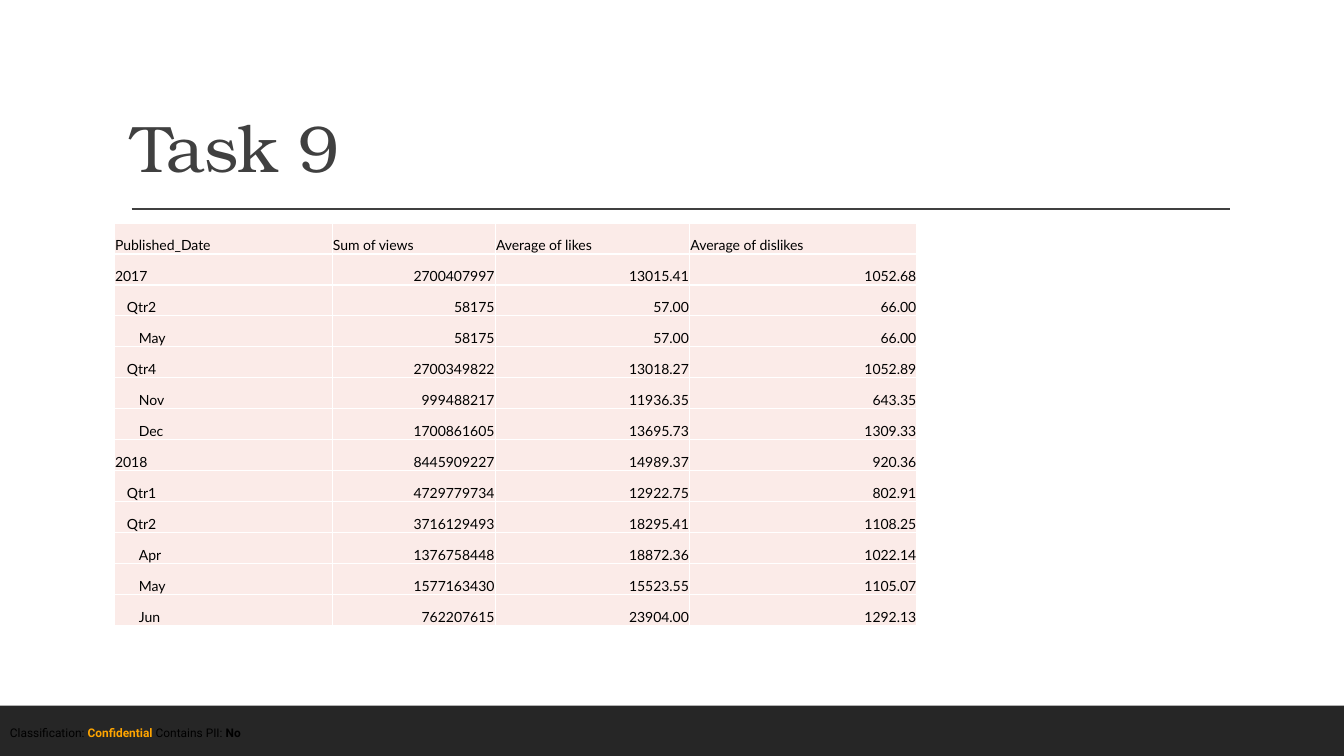
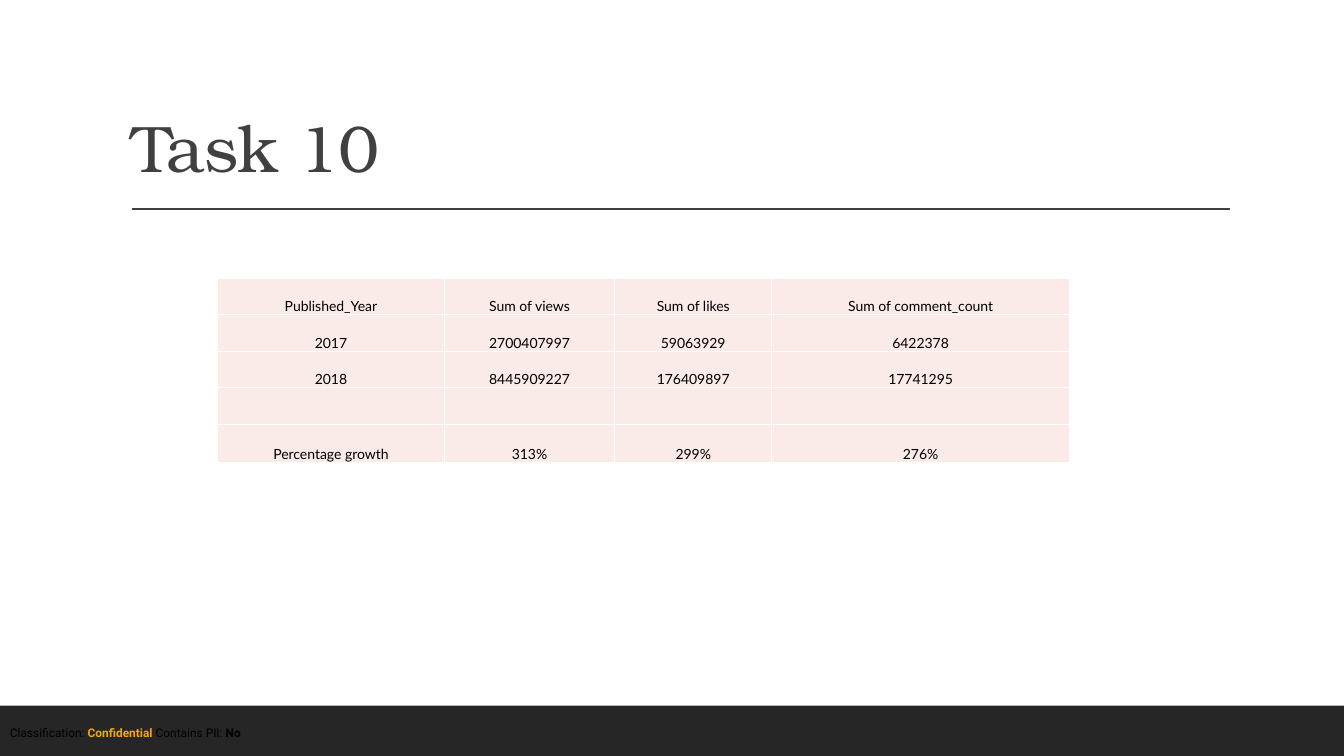
from lxml import etree
from pptx import Presentation
from pptx.dml.color import RGBColor
from pptx.enum.shapes import MSO_CONNECTOR, MSO_SHAPE
from pptx.enum.text import MSO_ANCHOR, MSO_AUTO_SIZE, PP_ALIGN
from pptx.oxml.ns import qn
from pptx.util import Cm, Pt

LEFT, CENTER, RIGHT = PP_ALIGN.LEFT, PP_ALIGN.CENTER, PP_ALIGN.RIGHT
BOTTOM = MSO_ANCHOR.BOTTOM
RECTANGLE, STRAIGHT = MSO_SHAPE.RECTANGLE, MSO_CONNECTOR.STRAIGHT
FIXED_SIZE, GROW_TO_FIT = MSO_AUTO_SIZE.NONE, MSO_AUTO_SIZE.SHAPE_TO_FIT_TEXT

BLACK, WHITE, GRAY, CHARCOAL = "000000", "FFFFFF", "404040", "262626"
ORANGE, BLUSH = "FFA500", "FBEBE8"
TITLE_FONT, TABLE_FONT, FOOTER_FONT = "TeX Gyre Bonum", "Lato", "Roboto"
TITLE_LAYOUT = 5
CELL_MARGIN, LEVEL_INDENT = 0.02, 0.3

# text, colour, bold
classification = [
    ("Classification: ", BLACK, False),
    ("Confidential", ORANGE, True),
    (" Contains PII: ", BLACK, False),
    ("No", BLACK, True),
]

# Each row starts with its indent level; lengths are in centimetres.
pages = [
    {
        "title": "Task 9",
        "corner": (2.88, 5.62),
        "widths": [5.49, 4.11, 4.9, 5.73],
        "heights": [0.78] * 13,
        "header_align": LEFT, "label_align": LEFT, "value_align": RIGHT,
        "rows": [
            (0, "Published_Date", "Sum of views", "Average of likes", "Average of dislikes"),
            (0, "2017", "2700407997", "13015.41", "1052.68"),
            (1, "Qtr2", "58175", "57.00", "66.00"),
            (2, "May", "58175", "57.00", "66.00"),
            (1, "Qtr4", "2700349822", "13018.27", "1052.89"),
            (2, "Nov", "999488217", "11936.35", "643.35"),
            (2, "Dec", "1700861605", "13695.73", "1309.33"),
            (0, "2018", "8445909227", "14989.37", "920.36"),
            (1, "Qtr1", "4729779734", "12922.75", "802.91"),
            (1, "Qtr2", "3716129493", "18295.41", "1108.25"),
            (2, "Apr", "1376758448", "18872.36", "1022.14"),
            (2, "May", "1577163430", "15523.55", "1105.07"),
            (2, "Jun", "762207615", "23904.00", "1292.13"),
        ],
    },
    {
        "title": "Task 10",
        "corner": (5.48, 7.01),
        "widths": [5.72, 4.29, 3.96, 7.5],
        "heights": [0.92] * 4 + [0.97],
        "header_align": CENTER, "label_align": CENTER, "value_align": CENTER,
        "rows": [
            (0, "Published_Year", "Sum of views", "Sum of likes", "Sum of comment_count"),
            (0, "2017", "2700407997", "59063929", "6422378"),
            (0, "2018", "8445909227", "176409897", "17741295"),
            (0, "", "", "", ""),
            (0, "Percentage growth", "313%", "299%", "276%"),
        ],
    },
]


def rgb(color):
    return RGBColor.from_string(color)


def add_cell_borders(cell, color, width):
    """Outline all four sides; call before setting the fill, which must follow in the XML."""
    properties = cell._tc.get_or_add_tcPr()
    for side in ("a:lnL", "a:lnR", "a:lnT", "a:lnB"):
        border = etree.SubElement(properties, qn(side), w=str(Pt(width)))
        fill = etree.SubElement(border, qn("a:solidFill"))
        etree.SubElement(fill, qn("a:srgbClr"), val=color)


deck = Presentation()
deck.slide_width, deck.slide_height = Cm(33.87), Cm(19.05)

for page in pages:
    slide = deck.slides.add_slide(deck.slide_layouts[TITLE_LAYOUT])

    # Footer band, title rule and classification
    band = slide.shapes.add_shape(RECTANGLE, 0, Cm(17.78), deck.slide_width, Cm(1.27))
    band.shadow.inherit = False
    band.fill.solid()
    band.fill.fore_color.rgb = rgb(CHARCOAL)
    band.line.fill.background()

    rule = slide.shapes.add_connector(STRAIGHT, Cm(3.32), Cm(5.27), Cm(31), Cm(5.27))
    rule.line.color.rgb = rgb(GRAY)
    rule.line.width = Pt(1)
    etree.SubElement(rule._element.spPr, qn("a:effectLst"))

    footer = slide.shapes.add_textbox(0, Cm(18.15), deck.slide_width, Cm(0.6)).text_frame
    footer.word_wrap = True
    footer.auto_size = GROW_TO_FIT
    notice = footer.paragraphs[0]
    notice.font.name, notice.font.size = FOOTER_FONT, Pt(8.5)
    for text, color, bold in classification:
        part = notice.add_run()
        part.text = text
        part.font.color.rgb = rgb(color)
        part.font.bold = bold

    # Title
    title = slide.shapes.title
    title.left, title.top, title.width, title.height = Cm(3.05), Cm(0.8), Cm(27.94), Cm(4.03)
    title.text_frame.text = page["title"]
    title.text_frame.vertical_anchor = BOTTOM
    title.text_frame.auto_size = FIXED_SIZE
    heading = title.text_frame.paragraphs[0]
    heading.alignment = LEFT
    heading.line_spacing = 0.9
    heading.font.name, heading.font.size = TITLE_FONT, Pt(47)
    heading.font.color.rgb = rgb(GRAY)
    heading.runs[0]._r.get_or_add_rPr().set("spc", "-50")

    # Table
    rows, widths, heights = page["rows"], page["widths"], page["heights"]
    left, top = page["corner"]
    table = slide.shapes.add_table(
        len(rows), len(widths), Cm(left), Cm(top), Cm(sum(widths)), Cm(sum(heights))
    ).table
    for column, width in zip(table.columns, widths):
        column.width = Cm(width)
    for row_index, (level, *values) in enumerate(rows):
        table.rows[row_index].height = Cm(heights[row_index])
        for column_index, value in enumerate(values):
            cell = table.cell(row_index, column_index)
            add_cell_borders(cell, WHITE, 1)
            cell.fill.solid()
            cell.fill.fore_color.rgb = rgb(BLUSH)
            cell.vertical_anchor = BOTTOM
            indent = level * LEVEL_INDENT if column_index == 0 else 0
            cell.margin_left = Cm(CELL_MARGIN + indent)
            cell.margin_right = cell.margin_top = Cm(CELL_MARGIN)
            cell.margin_bottom = 0
            cell.text = value
            entry = cell.text_frame.paragraphs[0]
            if row_index == 0:
                entry.alignment = page["header_align"]
            else:
                entry.alignment = page["value_align" if column_index else "label_align"]
            entry.font.name, entry.font.size = TABLE_FONT, Pt(10)
            entry.font.bold = False
            entry.font.color.rgb = rgb(BLACK)

deck.save("out.pptx")
